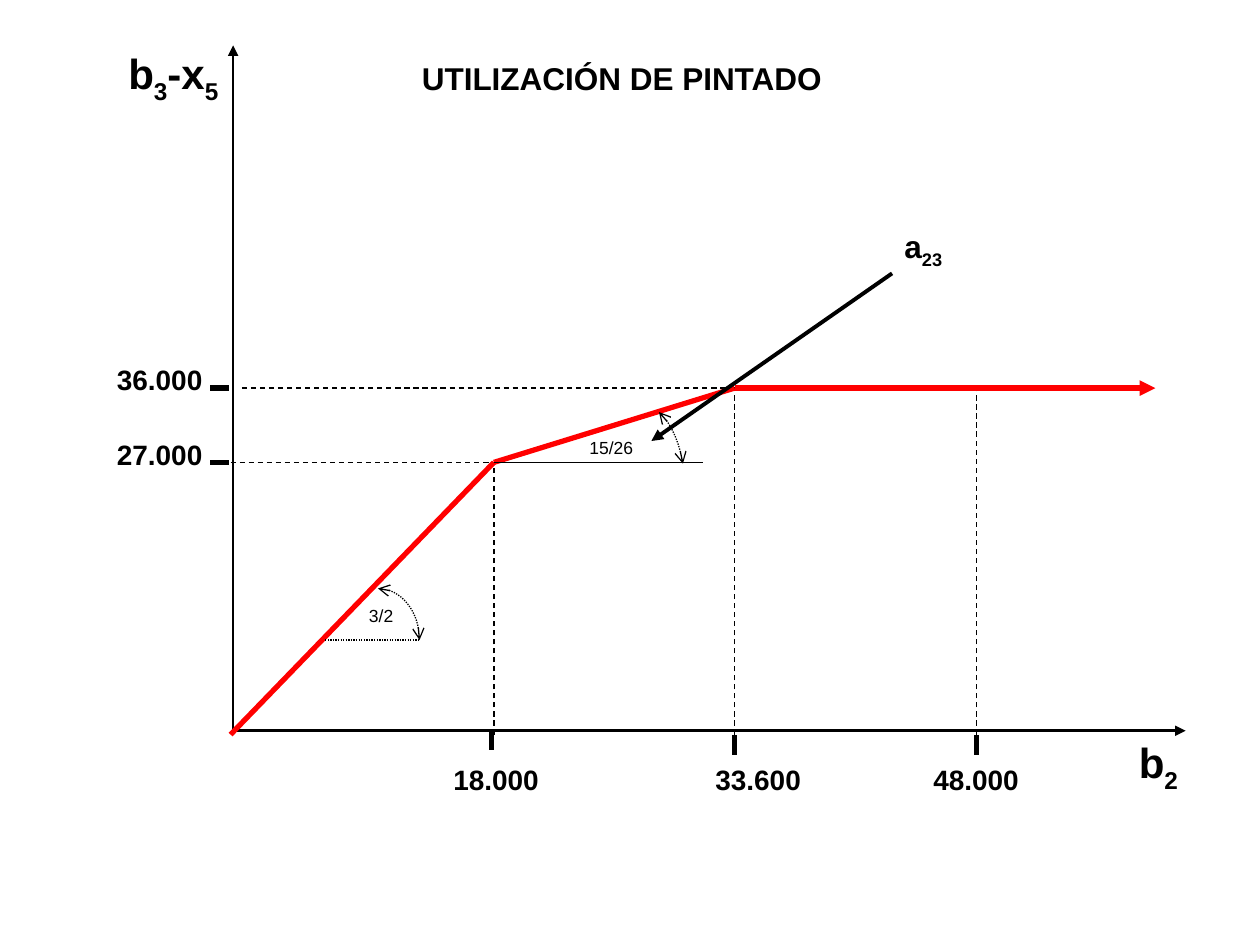
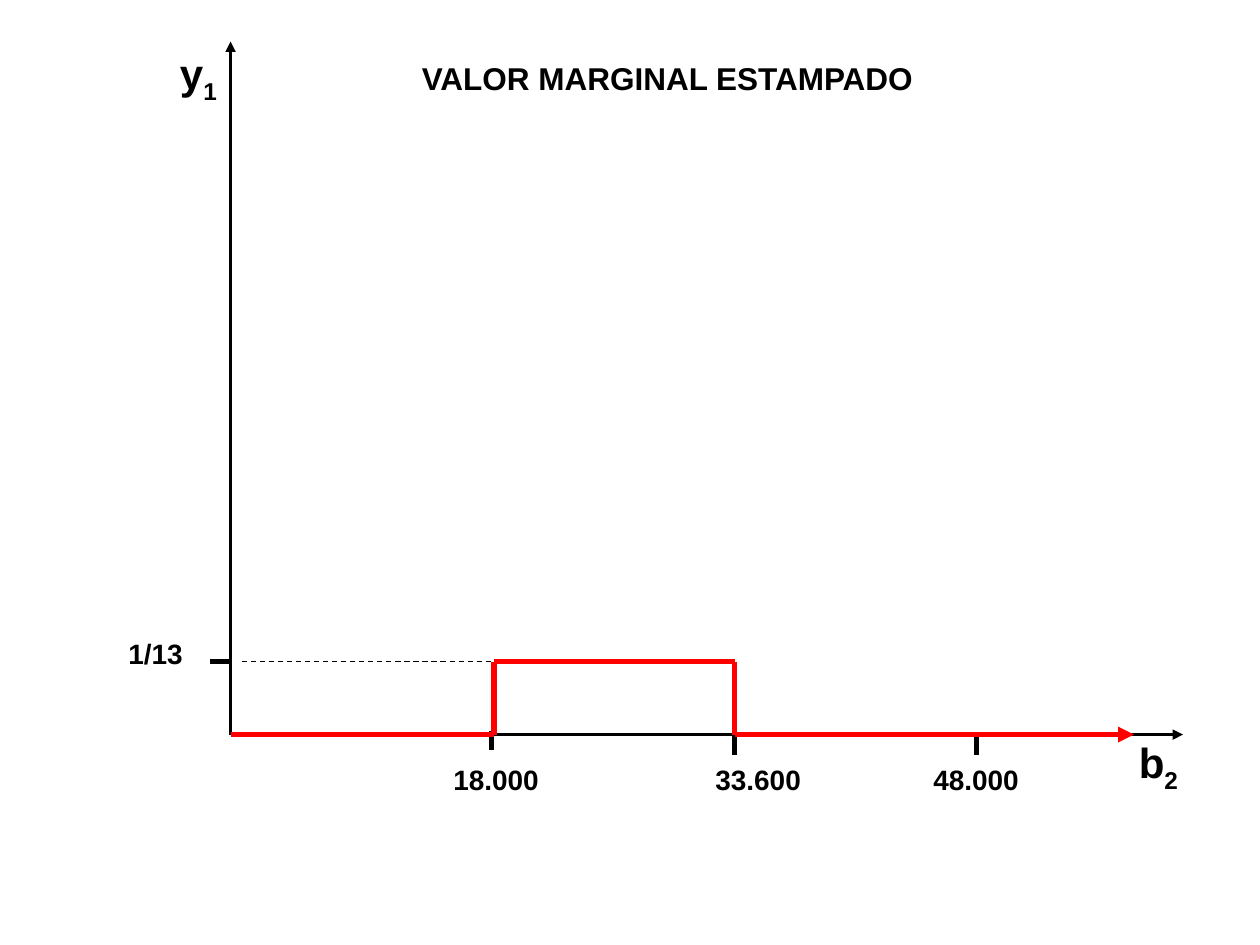
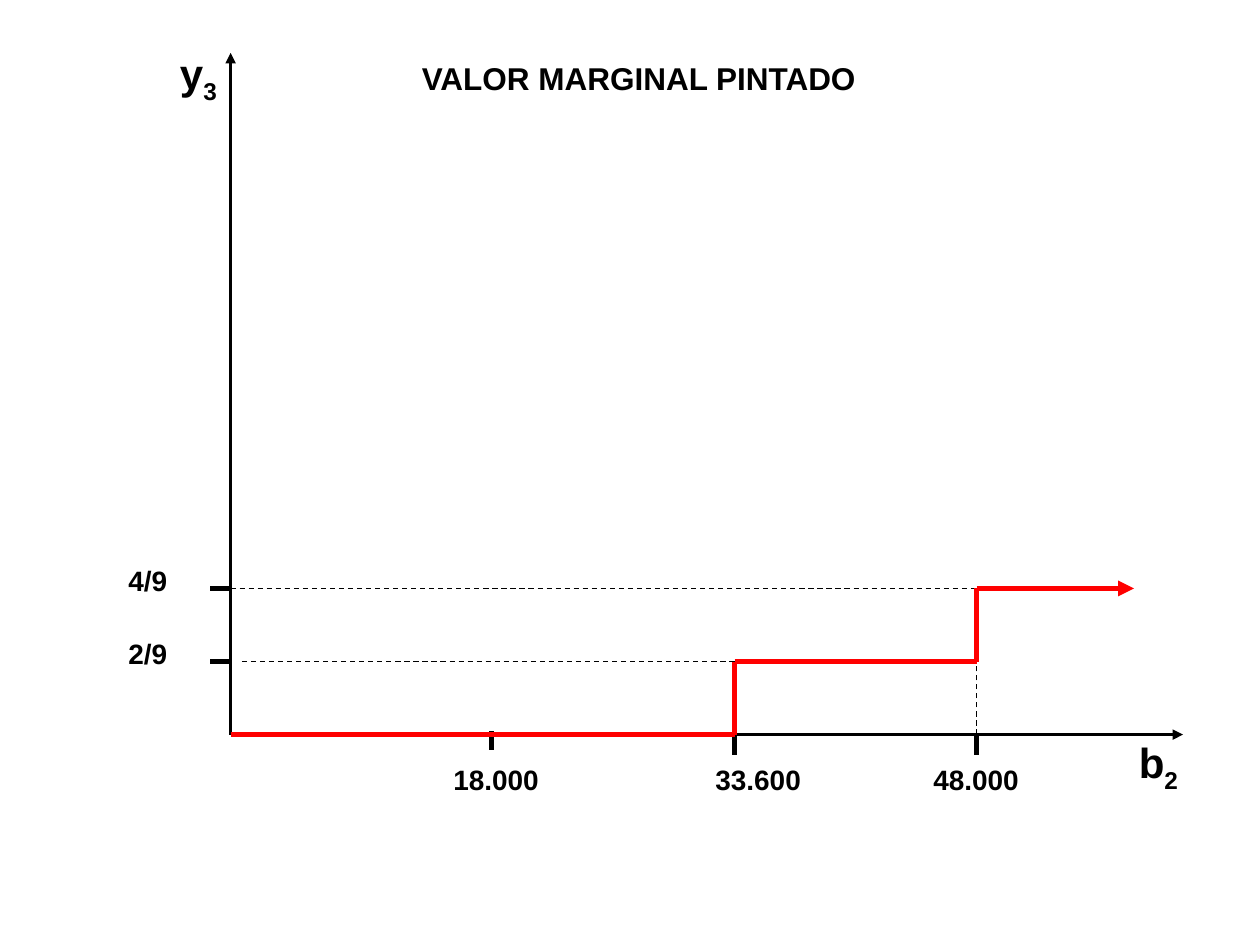
from itertools import pairwise
from lxml.etree import SubElement
from pptx import Presentation
from pptx.dml.color import RGBColor
from pptx.enum.dml import MSO_LINE as Dash
from pptx.enum.shapes import MSO_CONNECTOR as Conn
from pptx.enum.text import MSO_AUTO_SIZE as Auto
from pptx.oxml.ns import qn
from pptx.util import Inches, Pt

BLACK = RGBColor(0, 0, 0)
RED = RGBColor(255, 0, 0)
LEFT, BASE = 1.83, 5.83
X1, X2, X3 = 3.92, 5.83, 7.75


def rule(slide, start, end, width, color=BLACK, dash=None, tip=None):
    line = slide.shapes.add_connector(Conn.STRAIGHT, *map(Inches, start + end))
    line.line.width = Pt(width)
    line.line.color.rgb = color
    if dash:
        line.line.dash_style = dash
    if tip:
        SubElement(line.line._get_or_add_ln(), qn("a:" + tip), type="triangle")
    SubElement(line._element.spPr, qn("a:effectLst"))


def label(slide, text, box, size, bold=True, wrap=True):
    frame = slide.shapes.add_textbox(*map(Inches, box)).text_frame
    frame.word_wrap = wrap
    frame.auto_size = Auto.SHAPE_TO_FIT_TEXT
    para = frame.paragraphs[0]
    para.font.name = "Arial"
    para.font.size = Pt(size)
    para.font.bold = bold
    para.font.color.rgb = BLACK
    for i, part in enumerate(text.split("_")):
        run = para.add_run()
        run.text = part
        if i % 2:
            run._r.get_or_add_rPr().set("baseline", "-25000")


plots = [
    dict(
        title="UTILIZACIÓN DE PINTADO", width=3.5,
        name="b_3_-x_5", spot=(0.92, 0.33, 1.04, 0.56),
        zero=(1.85, 5.8), top=0.36, right=9.41,
        marks=[("27.000", 0.83, 3.67, 0.9), ("36.000", 0.83, 3.08, 0.9)],
        guides=[((X1, BASE), (X1, 3.67)), ((LEFT, 3.67), (X1, 3.67)),
                ((X2, BASE), (X2, 3.08)), ((1.92, 3.08), (X3, 3.08)),
                ((X3, BASE), (X3, 3.08))],
        curve=[(LEFT, BASE), (X1, 3.67), (X2, 3.08), (X3, 3.08), (9.17, 3.08)],
    ),
    dict(
        title="VALOR MARGINAL ESTAMPADO", width=4.67,
        name="y_1", spot=(1.33, 0.33, 0.63, 0.56),
        zero=(LEFT, BASE), top=0.33, right=9.39,
        marks=[("1/13", 0.92, 5.25, 0.65)],
        guides=[((1.92, 5.25), (4, 5.25))],
        curve=[(LEFT, BASE), (X1, BASE), (X1, 5.25), (X2, 5.25),
               (X2, BASE), (9, BASE)],
    ),
    dict(
        title="VALOR MARGINAL PINTADO", width=4.67,
        name="y_3", spot=(1.33, 0.33, 0.63, 0.56),
        zero=(LEFT, BASE), top=0.42, right=9.39,
        marks=[("2/9", 0.92, 5.25, 0.53), ("4/9", 0.92, 4.67, 0.53)],
        guides=[((1.92, 5.25), (X2, 5.25)), ((LEFT, 4.67), (X3, 4.67)),
                ((X3, BASE), (X3, 5.25))],
        curve=[(LEFT, BASE), (X1, BASE), (X2, BASE), (X2, 5.25),
               (X3, 5.25), (X3, 4.67), (9, 4.67)],
    ),
]
ticks = [
    ("18.000", 3.5, 1, True, 3.9, 5.8, 5.95),
    ("33.600", 5.58, 0.9, False, X2, BASE, 5.99),
    ("48.000", 7.31, 0.94, True, X3, BASE, 5.99),
]

prs = Presentation()
prs.slide_width, prs.slide_height = Inches(10), Inches(7.5)

for plot in plots:
    slide = prs.slides.add_slide(prs.slide_layouts[6])
    x, y = plot["zero"]
    rule(slide, (x, y), (x, plot["top"]), 1.5, tip="tailEnd")
    rule(slide, (x, y), (plot["right"], y), 1.5, tip="tailEnd")
    label(slide, plot["title"], (3.25, 0.42, plot["width"], 0.4), 18)
    label(slide, plot["name"], plot["spot"], 24)
    label(slide, "b_2", (8.94, 5.8, 0.63, 0.56), 24)
    for text, left, wide, wrap, x, top, low in ticks:
        rule(slide, (x, low), (x, top), 3)
        label(slide, text, (left, 6, wide, 0.37), 16, wrap=wrap)
    for text, left, y, wide in plot["marks"]:
        rule(slide, (1.67, y), (1.82, y), 3)
        label(slide, text, (left, y - 0.25, wide, 0.37), 16, wrap=False)
    for start, end in plot["guides"]:
        rule(slide, start, end, 0.75, dash=Dash.DASH)
    for start, end in pairwise(plot["curve"]):
        tip = "tailEnd" if end == plot["curve"][-1] else None
        rule(slide, start, end, 3, RED, tip=tip)

slide = prs.slides[0]
rule(slide, (2.58, 5.08), (3.33, 5.08), 0.75, dash=Dash.ROUND_DOT)
rule(slide, (X1, 3.67), (5.58, 3.67), 0.75)

arcs = [
    [(3, 4.67), (3.18, 4.67), (3.33, 4.85), (3.33, 5.08)],
    [(5.23, 3.27), (5.32, 3.35), (5.39, 3.5), (5.42, 3.68)],
]
for arc in arcs:
    dots = []
    for step in range(17):
        t = step / 16
        share = ((1 - t) ** 3, 3 * t * (1 - t) ** 2, 3 * t * t * (1 - t), t ** 3)
        dots.append([Inches(sum(w * v for w, v in zip(share, axis)))
                     for axis in zip(*arc)])
    pen = slide.shapes.build_freeform(*dots[0])
    pen.add_line_segments(dots[1:], close=False)
    bow = pen.convert_to_shape()
    bow.shadow.inherit = False
    bow.fill.background()
    bow.line.color.rgb = BLACK
    bow.line.width = Pt(0.75)
    bow.line.dash_style = Dash.ROUND_DOT
    for tip in ("headEnd", "tailEnd"):
        SubElement(bow.line._get_or_add_ln(), qn("a:" + tip), type="arrow")

label(slide, "15/26", (4.58, 3.42, 0.6, 0.27), 10, False, False)
label(slide, "3/2", (2.83, 4.75, 0.41, 0.27), 10, False, False)
label(slide, "a_23", (7.08, 1.75, 2.08, 0.44), 18)
rule(slide, (5.17, 3.5), (7.08, 2.17), 2.25, tip="headEnd")

prs.save("out.pptx")
